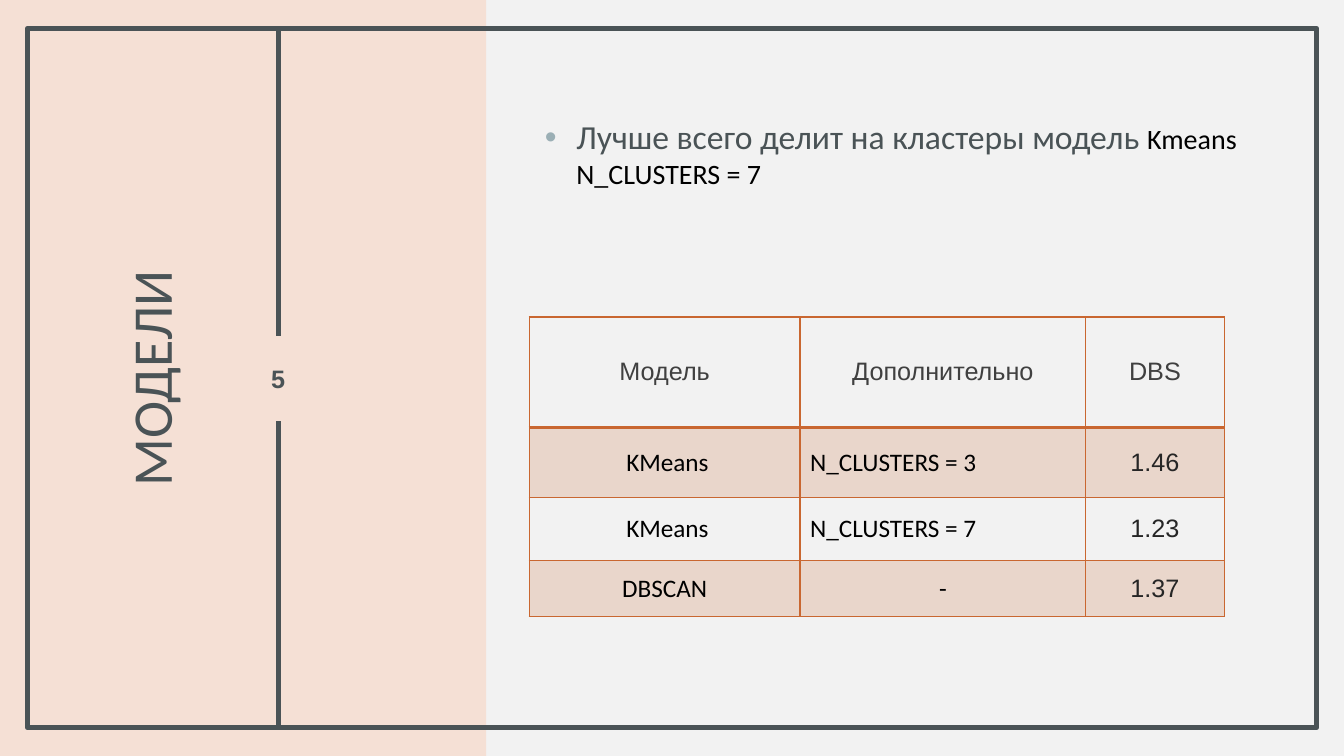
from lxml.etree import SubElement
from pptx import Presentation
from pptx.dml.color import RGBColor
from pptx.enum.shapes import MSO_CONNECTOR, MSO_SHAPE
from pptx.enum.text import MSO_ANCHOR, MSO_AUTO_SIZE, PP_ALIGN
from pptx.oxml import parse_xml
from pptx.oxml.ns import nsdecls, qn
from pptx.util import Pt

EMU_PER_PX = 9525
SLATE, PEACH, ORANGE, PALE, BLACK = "4A5356", "F5E0D5", "C96731", "F2F2F2", "000000"
COLUMNS = [258, 272, 132]
ROWS = [105, 67, 60, 53]
MODELS = [
    ["Модель", "Дополнительно", "DBS"],
    [" KMeans", "N_CLUSTERS = 3", "1.46"],
    [" KMeans", "N_CLUSTERS = 7", "1.23"],
    ["DBSCAN", "-", "1.37"],
]


def px(*lengths):
    return [length * EMU_PER_PX for length in lengths]


def color(value):
    return RGBColor.from_string(value)


def set_font(font, name, size, value, bold=False):
    font.name, font.size, font.bold = name, Pt(size), bold
    font.color.rgb = color(value)


def set_frame(text_frame, margins):
    text_frame.word_wrap = True
    text_frame.auto_size = MSO_AUTO_SIZE.NONE
    text_frame.vertical_anchor = MSO_ANCHOR.MIDDLE
    horizontal, vertical = px(*margins)
    text_frame.margin_left = text_frame.margin_right = horizontal
    text_frame.margin_top = text_frame.margin_bottom = vertical


def add_rectangle(slide, box):
    shape = slide.shapes.add_shape(MSO_SHAPE.RECTANGLE, *px(*box))
    shape.shadow.inherit = False
    return shape


def add_vertical_line(slide, x, top, bottom):
    line = slide.shapes.add_connector(MSO_CONNECTOR.STRAIGHT, *px(x, top, x, bottom))
    line.line.color.rgb = color(SLATE)
    line.line.width = Pt(3.5)
    SubElement(line._element.spPr, qn("a:effectLst"))


def add_backdrop(slide, left, top, width, height):
    slide.background.fill.solid()
    slide.background.fill.fore_color.rgb = color(PALE)
    panel = add_rectangle(slide, (left, top, 463, height))
    panel.fill.solid()
    panel.fill.fore_color.rgb = color(PEACH)
    panel.line.fill.background()
    frame = add_rectangle(slide, (left + 26, top + 27, width - 52, height - 54))
    frame.fill.background()
    frame.line.color.rgb = color(SLATE)
    frame.line.width = Pt(3.5)


def add_title(slide, left, top, width, height):
    title = slide.shapes.title
    slide.shapes._spTree.append(title._element)
    title.left, title.top, title.width, title.height = px(
        left + (width - height) // 2, top + (height - width) // 2, height, width)
    title.rotation = 270
    set_frame(title.text_frame, (19, 0))
    paragraph = title.text_frame.paragraphs[0]
    paragraph.text = "МОДЕЛИ"
    paragraph.alignment = PP_ALIGN.CENTER
    paragraph.line_spacing = 0.9
    set_font(paragraph.font, "Calibri", 40, SLATE)


def add_page_number(slide, left, top, width, height):
    center, number_height = left + width // 2, 81
    number_top = top + (height - number_height) // 2
    add_vertical_line(slide, center, top, number_top)
    add_vertical_line(slide, center, number_top + number_height, top + height)
    number = slide.shapes.add_textbox(*px(left, number_top, width, number_height))
    set_frame(number.text_frame, (0, 5))
    paragraph = number.text_frame.paragraphs[0]
    paragraph.alignment = PP_ALIGN.CENTER
    run = paragraph.add_run()
    run.text = "5"
    set_font(run.font, "Arial", 18, SLATE, bold=True)
    run._r.get_or_add_rPr().set("spc", "150")


def add_conclusion(slide, *box):
    conclusion = slide.shapes.add_textbox(*px(*box))
    set_frame(conclusion.text_frame, (10, 5))
    paragraph = conclusion.text_frame.paragraphs[0]
    paragraph.space_before, paragraph.space_after = Pt(10), Pt(6)
    for text, size, value in [
        ("Лучше всего делит на кластеры модель ", 24, SLATE),
        ("Kmeans N_CLUSTERS = 7", 20, BLACK),
    ]:
        run = paragraph.add_run()
        run.text = text
        set_font(run.font, "Calibri", size, value)
    properties = paragraph._p.get_or_add_pPr()
    indent = px(30)[0]
    properties.set("marL", str(indent))
    properties.set("indent", str(-indent))
    bullet_color = SubElement(properties, qn("a:buClr"))
    SubElement(bullet_color, qn("a:srgbClr"), val="9BAFB5")
    SubElement(properties, qn("a:buFont"), typeface="Arial")
    SubElement(properties, qn("a:buChar"), char="•")


def set_borders(cell, top_width, bottom_width):
    properties = cell._tc.get_or_add_tcPr()
    widths = {"lnL": 1, "lnR": 1, "lnT": top_width, "lnB": bottom_width}
    for position, (side, width) in enumerate(widths.items()):
        properties.insert(position, parse_xml(
            f'<a:{side} {nsdecls("a")} w="{Pt(width)}"><a:solidFill>'
            f'<a:srgbClr val="{ORANGE}"/></a:solidFill></a:{side}>'))


def set_cell(cell, text, row, column):
    cell.vertical_anchor = MSO_ANCHOR.MIDDLE
    paragraph = cell.text_frame.paragraphs[0]
    paragraph.text = text
    left_aligned = text.startswith("N_CLUSTERS")
    paragraph.alignment = PP_ALIGN.LEFT if left_aligned else PP_ALIGN.CENTER
    if row == 0:
        set_font(paragraph.font, "Arial", 18, "404040")
    elif column == 2:
        set_font(paragraph.font, "Arial", 18, "262626")
    else:
        set_font(paragraph.font, "Calibri", 18, BLACK)
    if row % 2:
        cell.fill.solid()
        cell.fill.fore_color.rgb = color(ORANGE)
        fill_color = cell._tc.tcPr.find(".//" + qn("a:srgbClr"))
        SubElement(fill_color, qn("a:alpha"), val="20000")
    else:
        cell.fill.background()
    set_borders(cell, 2 if row == 1 else 1, 2 if row == 0 else 1)


def add_model_table(slide, left, top):
    table = slide.shapes.add_table(
        len(ROWS), len(COLUMNS), *px(left, top, sum(COLUMNS), sum(ROWS))).table
    table.first_row = table.horz_banding = False
    for column, width in zip(table.columns, px(*COLUMNS)):
        column.width = width
    for row, height in zip(table.rows, px(*ROWS)):
        row.height = height
    for row, texts in enumerate(MODELS):
        for column, text in enumerate(texts):
            set_cell(table.cell(row, column), text, row, column)


def add_models_slide(presentation):
    slide = presentation.slides.add_slide(presentation.slide_layouts[5])
    add_backdrop(slide, 0, 0, 1280, 720)
    add_title(slide, 27, 31, 239, 659)
    add_page_number(slide, 230, 27, 70, 668)
    add_conclusion(slide, 509, 59, 698, 174)
    add_model_table(slide, 504, 302)


def main():
    presentation = Presentation()
    presentation.slide_width, presentation.slide_height = px(1280, 720)
    add_models_slide(presentation)
    presentation.save("out.pptx")


if __name__ == "__main__":
    main()
